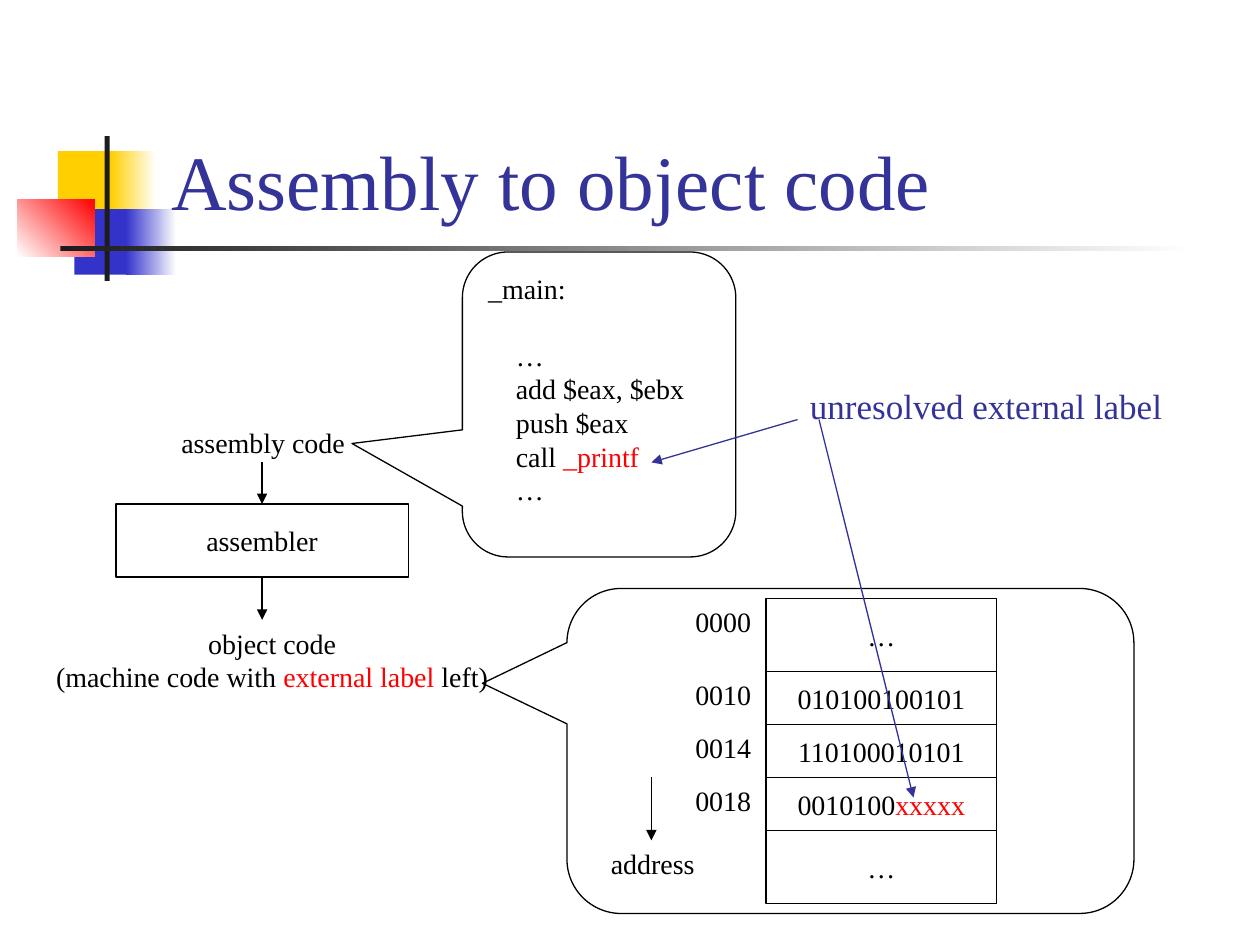
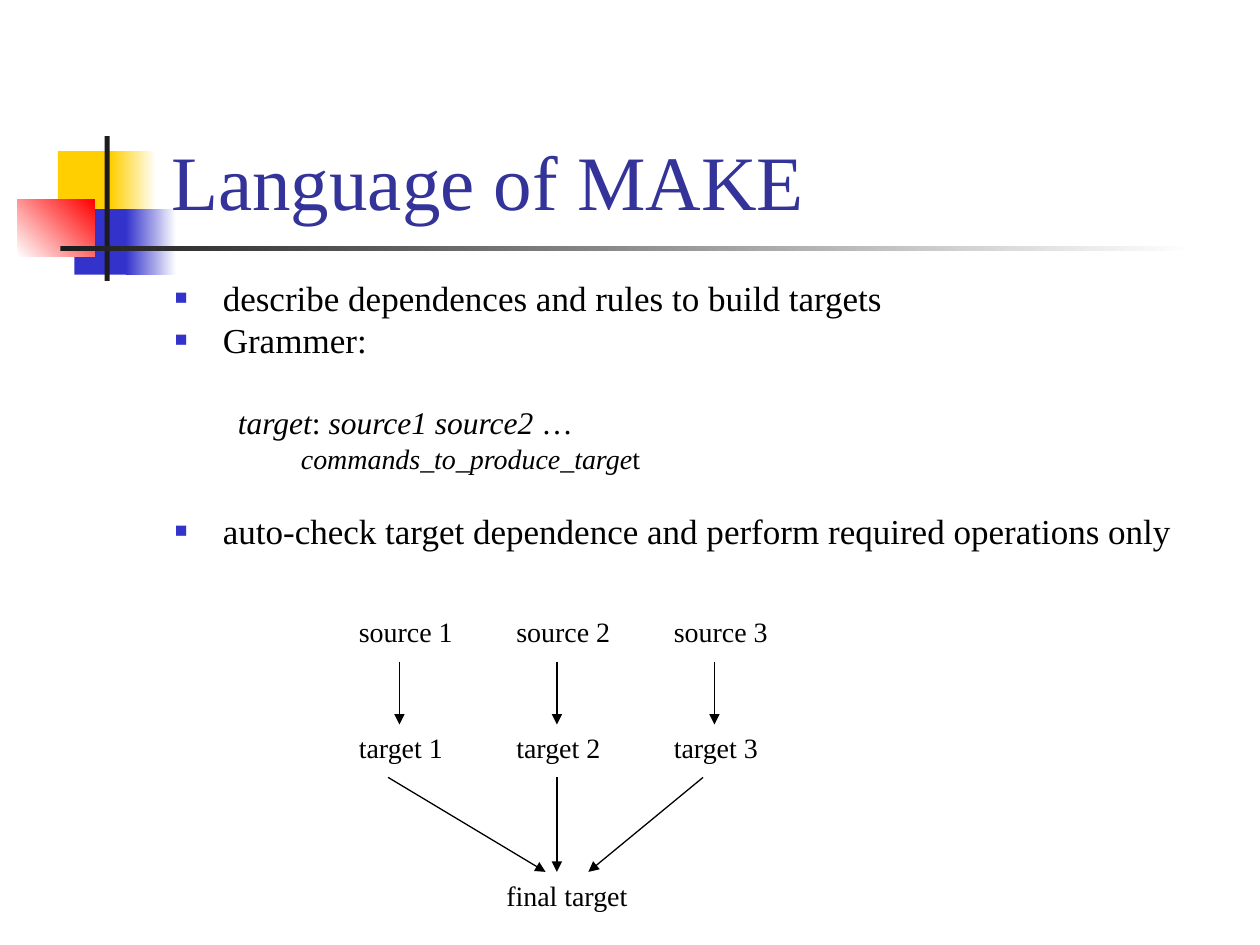
from lxml.etree import SubElement
from pptx import Presentation
from pptx.dml.color import RGBColor
from pptx.enum.shapes import MSO_CONNECTOR, MSO_SHAPE
from pptx.enum.text import MSO_ANCHOR, MSO_AUTO_SIZE, PP_ALIGN
from pptx.oxml.ns import qn
from pptx.util import Inches, Pt

FONT = "Times New Roman"
COLORS = {
    "ink": "000000", "title": "333399", "red": "FF0000", "white": "FFFFFF",
    "yellow": "FFCF01", "blue": "3333CC", "bar": "1C1C1C",
}
RED = {"color": "red"}
ITALIC = {"italic": True}

DECORATION = [
    ((0.46, 1.2, 0.48, 0.52), ["yellow"], 0),
    ((0.88, 1.2, 0.36, 0.52), ["yellow", "white"], 0),
    ((0.59, 1.66, 0.46, 0.52), ["blue"], 0),
    ((1, 1.66, 0.4, 0.52), ["blue", "white"], 0),
    ((0.14, 1.58, 0.61, 0.46), ["white", "red"], 45),
    ((0.83, 1.08, 0.04, 1.15), ["bar"], 0),
    ((0.48, 1.95, 9, 0.04), ["bar", "white"], 0),
]
TITLE_AT = (1.26, 0.24, 8.52, 1.6)

CODE_INDENT = {"left": 0.22}
ASSEMBLY = [
    (["_main:"], {}),
    (["…"], {"left": 0.22, "before": 19}),
    (["add $eax, $ebx"], CODE_INDENT),
    (["push $eax"], CODE_INDENT),
    (["call ", ("_printf", RED)], CODE_INDENT),
    (["…"], CODE_INDENT),
]
OBJECT_CODE = [
    (["object code"], {}),
    (["(machine code with ", ("external label", RED), " left)"], {}),
]
MEMORY = [
    ("0000", ["…"], 0.58),
    ("0010", ["010100100101"], 0.42),
    ("0014", ["110100010101"], 0.42),
    ("0018", ["0010100", ("xxxxx", RED)], 0.42),
    (None, ["…"], 0.58),
]
MEMORY_LEFT, MEMORY_TOP, MEMORY_WIDTH = 6.08, 4.75, 1.83

BULLET = {"left": 0.38, "hang": 0.38, "before": 5, "bullet": "■"}
MAKE_RULES = [
    (["describe dependences and rules to build targets"], BULLET),
    (["Grammer:"], BULLET),
    ([("target", ITALIC), ": ", ("source1 source2", ITALIC), " …"],
     {"left": 0.5, "before": 28.5, "size": 18}),
    ([("commands_to_produce_targe", ITALIC), "t"],
     {"left": 1, "before": 4, "size": 16}),
    (["auto-check target dependence and perform required operations only"],
     {**BULLET, "before": 24.5}),
]
BUILDS = [("source 1", "target 1"), ("source 2", "target 2"),
          ("source 3", "target 3")]
BUILD_LEFT, BUILD_STEP, BUILD_WIDTH = 2.75, 1.25, 1
FINAL_ARROWS = [(3.08, 4.33), (4.42, 4.42), (5.58, 4.67)]


def rgb(name):
    return RGBColor.from_string(COLORS[name])


def inches(values):
    return [Inches(v) for v in values]


def add_bullet(p, char):
    pPr = p._p.get_or_add_pPr()
    SubElement(SubElement(pPr, qn("a:buClr")), qn("a:srgbClr"),
               val=COLORS["blue"])
    SubElement(pPr, qn("a:buSzPct"), val="60000")
    SubElement(pPr, qn("a:buFont"), typeface=FONT)
    SubElement(pPr, qn("a:buChar"), char=char)


def write(tf, text, size=16, color="ink", align=PP_ALIGN.LEFT,
          anchor=MSO_ANCHOR.TOP, wrap=False, grow=False, spacing=None):
    tf.word_wrap = wrap
    tf.auto_size = MSO_AUTO_SIZE.SHAPE_TO_FIT_TEXT if grow else MSO_AUTO_SIZE.NONE
    tf.vertical_anchor = anchor
    paragraphs = [([text], {})] if isinstance(text, str) else text
    for i, (runs, layout) in enumerate(paragraphs):
        p = tf.add_paragraph() if i else tf.paragraphs[0]
        p.alignment = align
        p.line_spacing = spacing
        p.space_before = Pt(layout.get("before", 0))
        if "left" in layout:
            pPr = p._p.get_or_add_pPr()
            pPr.set("marL", str(Inches(layout["left"])))
            pPr.set("indent", str(-Inches(layout.get("hang", 0))))
        if "bullet" in layout:
            add_bullet(p, layout["bullet"])
        for run in runs:
            words, style = (run, {}) if isinstance(run, str) else run
            r = p.add_run()
            r.text = words
            r.font.name = FONT
            r.font.size = Pt(layout.get("size", size))
            r.font.italic = style.get("italic", False)
            r.font.color.rgb = rgb(style.get("color", color))


def add_label(s, text, at, **fmt):
    tb = s.shapes.add_textbox(*inches(at))
    write(tb.text_frame, text, **{"grow": True, **fmt})


def add_outline(s, at, shape=MSO_SHAPE.RECTANGLE, adjustments=()):
    sp = s.shapes.add_shape(shape, *inches(at))
    sp.shadow.inherit = False
    sp.fill.background()
    sp.line.color.rgb = rgb("ink")
    sp.line.width = Pt(0.75)
    for i, value in enumerate(adjustments):
        sp.adjustments[i] = value
    return sp


def add_cell(s, runs, at):
    sp = add_outline(s, at)
    write(sp.text_frame, [(runs, {})], align=PP_ALIGN.CENTER,
          anchor=MSO_ANCHOR.MIDDLE)
    return sp


def add_arrow(s, start, end, color="ink"):
    cx = s.shapes.add_connector(MSO_CONNECTOR.STRAIGHT, *inches(start + end))
    cx.line.color.rgb = rgb(color)
    cx.line.width = Pt(0.75)
    SubElement(cx.line._get_or_add_ln(), qn("a:tailEnd"), type="triangle")
    SubElement(cx._element.spPr, qn("a:effectLst"))
    return cx


def add_slide(prs, title):
    s = prs.slides.add_slide(prs.slide_layouts.get_by_name("Title Only"))
    sp = s.shapes.title
    sp.left, sp.top, sp.width, sp.height = inches(TITLE_AT)
    write(sp.text_frame, title, size=44, color="title",
          anchor=MSO_ANCHOR.BOTTOM, wrap=True)
    return s


def decorate_layout(s):
    for i, (at, colors, angle) in enumerate(DECORATION):
        sp = s.shapes.add_shape(MSO_SHAPE.RECTANGLE, *inches(at))
        sp.shadow.inherit = False
        sp.line.fill.background()
        if len(colors) == 1:
            sp.fill.solid()
            sp.fill.fore_color.rgb = rgb(colors[0])
        else:
            sp.fill.gradient()
            sp.fill.gradient_angle = angle
            for stop, color, position in zip(sp.fill.gradient_stops, colors, (0, 1)):
                stop.color.rgb = rgb(color)
                stop.position = position
        s.slide_layout.shapes.element.insert(2 + i, sp.element)


def build_object_code(prs):
    s = add_slide(prs, "Assembly to object code")
    decorate_layout(s)
    add_label(s, "assembly code", (1.34, 3.33, 1.52, 0.37))
    assembler = add_cell(s, ["assembler"], (0.92, 4, 2.32, 0.58))
    add_arrow(s, (2.08, 3.67), (2.08, 4)).end_connect(assembler, 0)
    add_arrow(s, (2.08, 4.58), (2.08, 4.92)).begin_connect(assembler, 2)
    add_label(s, OBJECT_CODE, (0.33, 4.92, 3.66, 0.64), align=PP_ALIGN.CENTER)

    callout = MSO_SHAPE.ROUNDED_RECTANGULAR_CALLOUT
    code = add_outline(s, (3.67, 2, 2.17, 2.42), callout, (-0.904, 0.128, 0.167))
    write(code.text_frame, ASSEMBLY, wrap=True)

    top = MEMORY_TOP
    for address, runs, height in MEMORY:
        add_cell(s, runs, (MEMORY_LEFT, top, MEMORY_WIDTH, height))
        if address:
            add_label(s, address, (5.42, top, 0.66, 0.37))
        top += height
    add_arrow(s, (5.17, 6.17), (5.17, 6.67))
    add_label(s, "address", (4.75, 6.67, 0.95, 0.37))
    add_outline(s, (4.5, 4.67, 4.5, 2.58), callout, (-0.649, -0.208, 0.167))

    add_label(s, "unresolved external label", (6.33, 3, 3.05, 0.44),
              size=20, color="title")
    add_arrow(s, (6.33, 3.33), (5.17, 3.67), "title")
    add_arrow(s, (6.5, 3.33), (7.25, 6.33), "title")


def build_make(prs):
    s = add_slide(prs, "Language of MAKE")
    add_label(s, MAKE_RULES, (1.29, 2.21, 8.5, 2.54), size=20, wrap=True,
              grow=False, spacing=0.8)
    for i, (source, target) in enumerate(BUILDS):
        left = BUILD_LEFT + i * BUILD_STEP
        add_label(s, source, (left, 4.83, BUILD_WIDTH, 0.37))
        add_arrow(s, (left + 0.42, 5.25), (left + 0.42, 5.75))
        add_label(s, target, (left, 5.75, BUILD_WIDTH, 0.37))
    add_label(s, "final target", (3.92, 6.92, 1.2, 0.37))
    for start, end in FINAL_ARROWS:
        add_arrow(s, (start, 6.17), (end, 6.92))


def main():
    prs = Presentation()
    prs.slide_width, prs.slide_height = inches((10, 7.5))
    build_object_code(prs)
    build_make(prs)
    prs.save("out.pptx")


if __name__ == "__main__":
    main()
